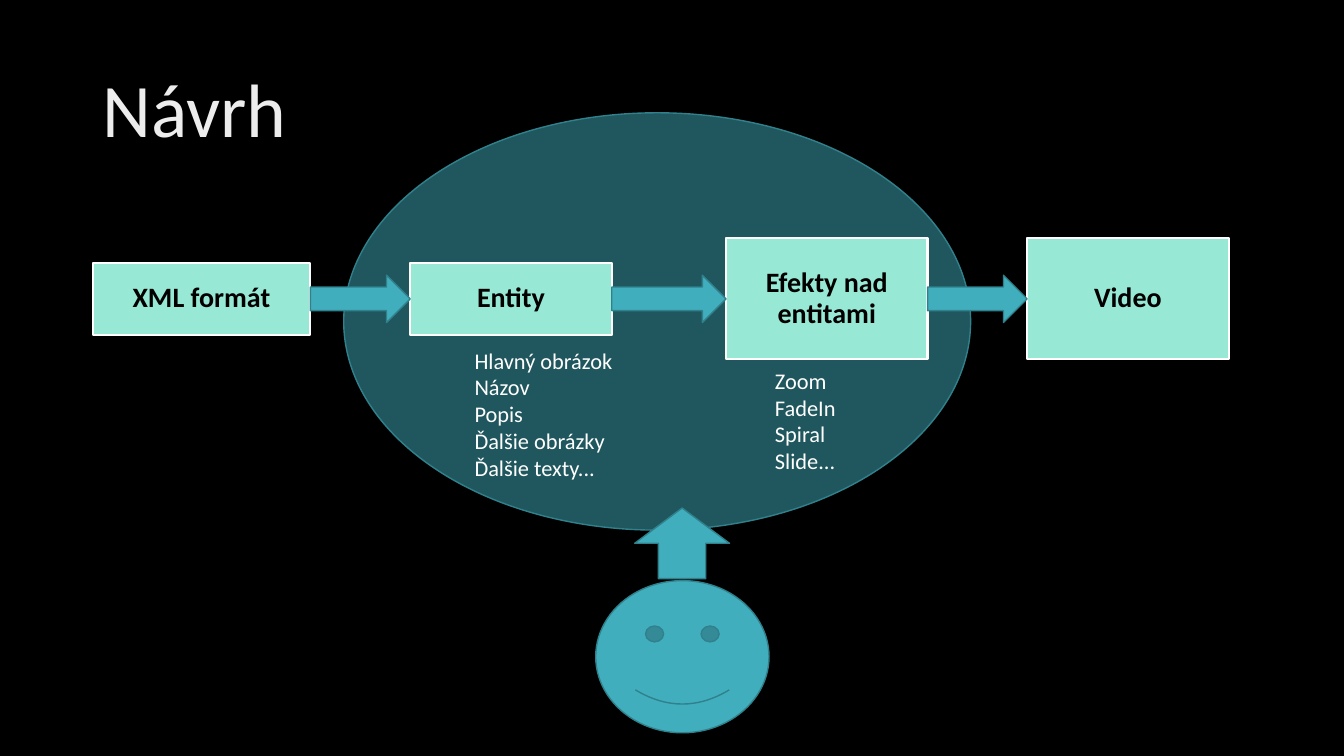
"""Builds a slide showing how an XML format becomes a video."""
from itertools import pairwise

from pptx import Presentation
from pptx import util as u
from pptx.dml.color import RGBColor
from pptx.enum import shapes, text

BLACK = RGBColor(0x00, 0x00, 0x00)
WHITE = RGBColor(0xFF, 0xFF, 0xFF)
PALE = RGBColor(0xED, 0xED, 0xED)
MINT = RGBColor(0x97, 0xE9, 0xD5)
TEAL = RGBColor(0x41, 0xAE, 0xBD)
DARK_TEAL = RGBColor(0x20, 0x57, 0x5E)
EDGE = RGBColor(0x30, 0x81, 0x8C)

Kind = shapes.MSO_SHAPE
MIDDLE = text.MSO_ANCHOR.MIDDLE
FLOW_AXIS = 213.5
ARROW_HEIGHT = 33.8


def apply(target, values):
    for name, value in values.items():
        setattr(target, name, value)


class SlideBuilder:
    font = "Calibri"

    def __init__(self, presentation):
        self.slide = presentation.slides.add_slide(presentation.slide_layouts[6])
        fill = self.slide.background.fill
        fill.solid()
        fill.fore_color.rgb = BLACK

    def set_text(self, shape, lines, size, color, bold=False, anchor=None, layout=None):
        frame = shape.text_frame
        apply(frame, {"text": "\n".join(lines), "word_wrap": True, "vertical_anchor": anchor})
        for paragraph in frame.paragraphs:
            apply(paragraph, layout or {})
            apply(paragraph.font, {"name": self.font, "size": u.Pt(size), "bold": bold})
            paragraph.font.color.rgb = color

    def shape(self, kind, left, top, width, height, fill=TEAL, edge=EDGE, weight=1):
        shape = self.slide.shapes.add_shape(kind, *map(u.Pt, (left, top, width, height)))
        shape.shadow.inherit = False
        shape.fill.solid()
        shape.fill.fore_color.rgb = fill
        shape.line.color.rgb = edge
        shape.line.width = u.Pt(weight)
        return shape

    def text_box(self, lines, left, top, width, height, size=16, color=WHITE, **style):
        box = self.slide.shapes.add_textbox(*map(u.Pt, (left, top, width, height)))
        self.set_text(box, lines, size, color, **style)

    def stage(self, label, left, width, height):
        box = self.shape(Kind.RECTANGLE, left, FLOW_AXIS - height / 2, width, height,
                         MINT, WHITE, 1.5)
        layout = {"alignment": text.PP_ALIGN.CENTER, "line_spacing": 0.9,
                  "space_before": u.Pt(10)}
        self.set_text(box, [label], 20, BLACK, True, MIDDLE, layout)

    def flow_arrow(self, start, end):
        self.shape(Kind.RIGHT_ARROW, start, FLOW_AXIS - ARROW_HEIGHT / 2,
                   end - start, ARROW_HEIGHT)


def main():
    presentation = Presentation()
    apply(presentation, {"slide_width": u.Pt(960), "slide_height": u.Pt(540)})
    builder = SlideBuilder(presentation)

    builder.shape(Kind.OVAL, 245.5, 80.6, 447.8, 298.1, DARK_TEAL)
    builder.text_box(["Návrh"], 66.2, 28.8, 828, 104.4, 54, PALE,
                     anchor=MIDDLE, layout={"line_spacing": 0.9})

    stages = [
        ("XML formát", 66.2, 155.5, 51.1),
        ("Entity", 293, 144, 51.1),
        ("Efekty nad entitami", 518.6, 144, 86.4),
        ("Video", 733.7, 144, 86.4),
    ]
    for stage in stages:
        builder.stage(*stage)
    for (_, left, width, _), (_, following, _, _) in pairwise(stages):
        builder.flow_arrow(left + width, following)

    builder.shape(Kind.SMILEY_FACE, 425.5, 414.7, 123.8, 108.7)
    builder.shape(Kind.UP_ARROW, 453.4, 362.9, 67.7, 50.4)

    entities = ["Hlavný obrázok", "Názov", "Popis", "Ďalšie obrázky", "Ďalšie texty..."]
    effects = ["Zoom", "FadeIn", "Spiral", "Slide..."]
    builder.text_box(entities, 331.9, 244.1, 146.2, 104.4)
    builder.text_box(effects, 546.5, 258.5, 146.2, 85)

    presentation.save("out.pptx")


if __name__ == "__main__":
    main()
